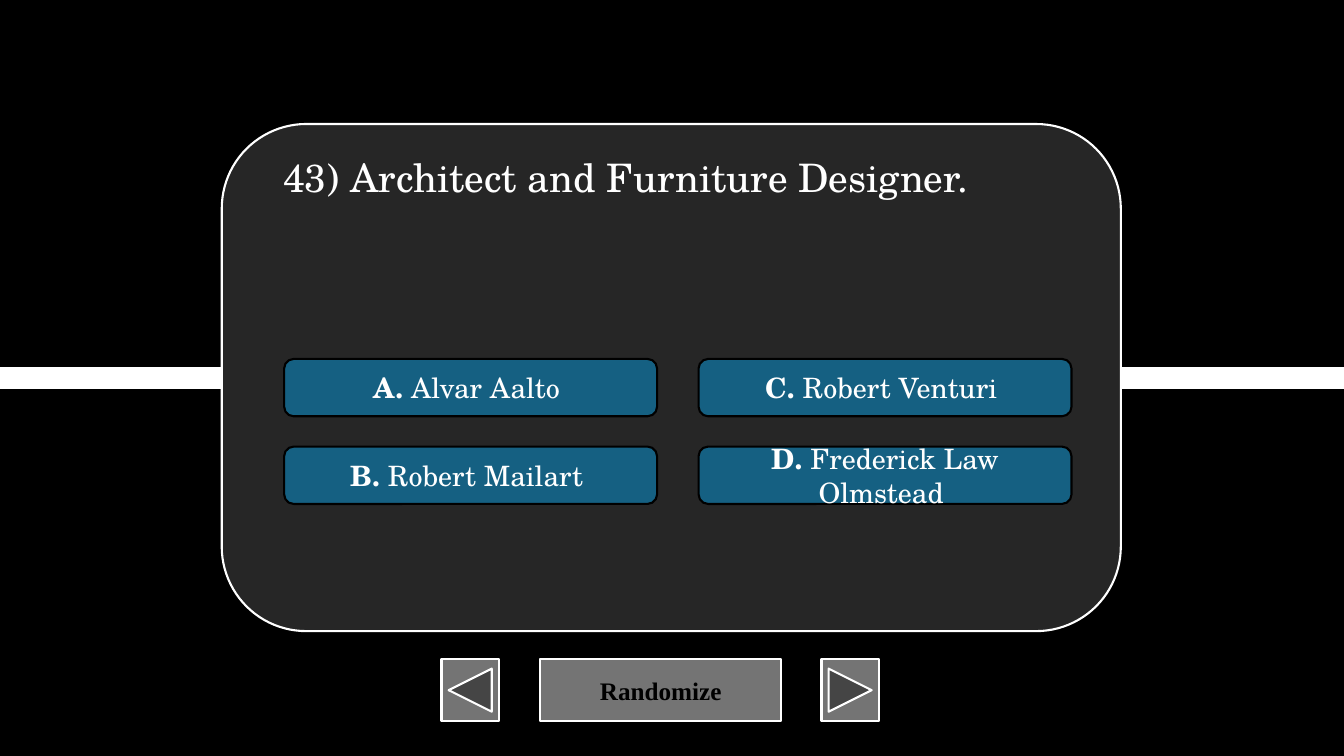
import pptx
import pptx.dml.color
import pptx.enum.shapes
import pptx.enum.text
import pptx.oxml.ns
import pptx.util
import lxml.etree

Pt = pptx.util.Pt
SHAPES = pptx.enum.shapes.MSO_SHAPE
ALIGN = pptx.enum.text.PP_ALIGN
ANCHOR = pptx.enum.text.MSO_ANCHOR
SERIF = "TeX Gyre Schola"
WHITE, BLACK, BUTTON_GREY, CARD_GREY, ANSWER_BLUE = "FFFFFF", "000000", "747474", "262626", "156082"


def add_text(paragraph, text, font=SERIF, size=20, color=WHITE, bold=False, align=ALIGN.CENTER):
    paragraph.alignment = align
    run = paragraph.add_run()
    run.text = text
    run.font.name = font
    run.font.size = Pt(size)
    run.font.bold = bold
    run.font.color.rgb = pptx.dml.color.RGBColor.from_string(color)


def add_box(kind, left, top, width, height, fill, line=WHITE):
    shape = slide.shapes.add_shape(kind, Pt(left), Pt(top), Pt(width), Pt(height))
    shape.shadow.inherit = False
    shape.fill.solid()
    shape.fill.fore_color.rgb = pptx.dml.color.RGBColor.from_string(fill)
    shape.line.color.rgb = pptx.dml.color.RGBColor.from_string(line)
    shape.line.width = Pt(1.5)
    shape.text_frame.vertical_anchor = ANCHOR.MIDDLE
    return shape


presentation = pptx.Presentation()
presentation.slide_width = Pt(960)
presentation.slide_height = Pt(540)
slide = presentation.slides.add_slide(presentation.slide_layouts[5])
slide.background.fill.solid()
slide.background.fill.fore_color.rgb = pptx.dml.color.RGBColor.from_string(BLACK)

# White band behind the question card
band = slide.shapes.add_connector(
    pptx.enum.shapes.MSO_CONNECTOR.STRAIGHT, Pt(0), Pt(270), Pt(960), Pt(270))
band.line.color.rgb = pptx.dml.color.RGBColor.from_string(WHITE)
band.line.width = Pt(16)
lxml.etree.SubElement(band.element.spPr, pptx.oxml.ns.qn("a:effectLst"))

# Navigation buttons
randomize = add_box(SHAPES.ACTION_BUTTON_CUSTOM, 386, 471, 172, 44, BUTTON_GREY)
add_text(randomize.text_frame.paragraphs[0], "Randomize",
         font="Times New Roman", size=18, color=BLACK, bold=True)
for kind, left in ((SHAPES.ACTION_BUTTON_BACK_OR_PREVIOUS, 315.4),
                   (SHAPES.ACTION_BUTTON_FORWARD_OR_NEXT, 586.8)):
    add_box(kind, left, 471, 41, 44, BUTTON_GREY)

# Question card and its answers, filled column by column
add_box(SHAPES.ROUNDED_RECTANGLE, 158.4, 88.6, 642.2, 362.2, CARD_GREY)
answers = ["Alvar Aalto ", "Robert Mailart ", "Robert Venturi ", "Frederick Law Olmstead "]
for index, (letter, name) in enumerate(zip("ABCD", answers)):
    column, row = divmod(index, 2)
    answer = add_box(SHAPES.ROUNDED_RECTANGLE, 203 + 296 * column, 256.4 + 62.6 * row,
                     266.4, 41, ANSWER_BLUE, BLACK)
    paragraph = answer.text_frame.paragraphs[0]
    add_text(paragraph, f"{letter}. ", bold=True)
    add_text(paragraph, name)

# Question, brought in front of the card
question = slide.shapes.title
question.left, question.top, question.width, question.height = Pt(195.1), Pt(105.8), Pt(570.2), Pt(41)
question.text_frame.word_wrap = True
question.text_frame.auto_size = pptx.enum.text.MSO_AUTO_SIZE.SHAPE_TO_FIT_TEXT
question.text_frame.vertical_anchor = ANCHOR.TOP
add_text(question.text_frame.paragraphs[0], "43) Architect and Furniture Designer.",
         size=28, align=ALIGN.LEFT)
question.element.getparent().append(question.element)

presentation.save("out.pptx")
